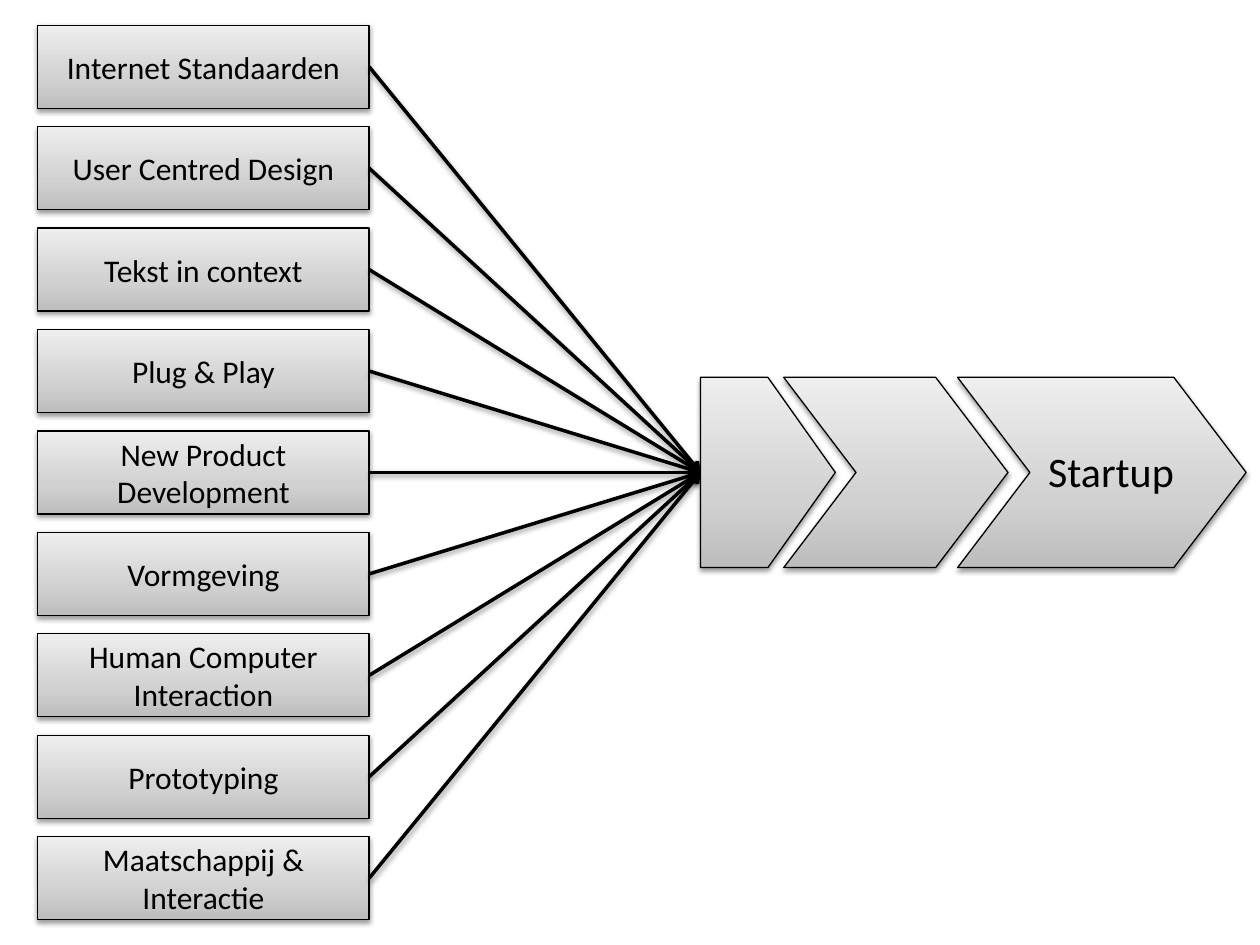
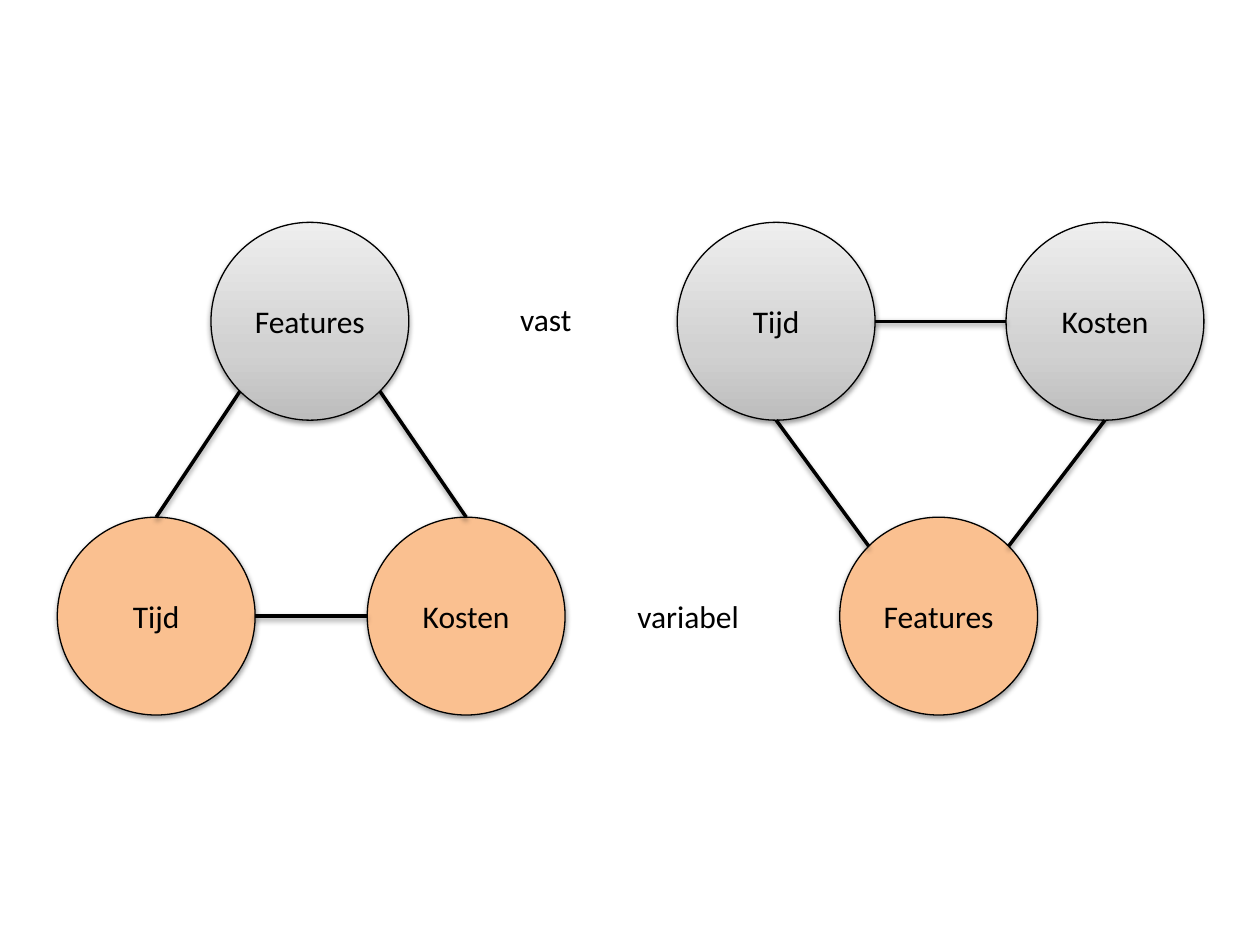
"""Build two diagram slides: courses feeding a startup, and project triangles."""
import math
from dataclasses import dataclass

from pptx import Presentation
from pptx import util as u
from pptx.dml.color import RGBColor
from pptx.enum import shapes, text
from pptx.oxml import parse_xml
from pptx.oxml.ns import nsdecls


@dataclass(frozen=True)
class Theme:
    """Colours, type and line sizes of both slides."""
    ink: str = "000000"
    variable: str = "FAC090"
    fixed: tuple = ((0, "BDBDBD"), (35, "D1D1D1"), (100, "EEEEEE"))
    font: str = "Calibri"
    body: int = 18
    large: int = 24
    outline: float = 0.75
    link: float = 2


THEME = Theme()
WIDTH, HEIGHT = 10, 7.5
MIDDLE = HEIGHT / 2

COURSES = [
    "Internet Standaarden", "User Centred Design", "Tekst in context",
    "Plug & Play", "New Product Development", "Vormgeving",
    "Human Computer Interaction", "Prototyping", "Maatschappij & Interactie",
]
COURSE_LEFT, COURSE_TOP = 0.3, 0.2
COURSE_WIDTH, COURSE_HEIGHT = 2.63, 0.66
COURSE_PITCH = (HEIGHT - 2 * COURSE_TOP - COURSE_HEIGHT) / (len(COURSES) - 1)

STAGE_HEIGHT = 1.51
STAGES = [
    (shapes.MSO_SHAPE.PENTAGON, 5.56, 1.07, 0.5),
    (shapes.MSO_SHAPE.CHEVRON, 6.22, 1.78, 0.38),
    (shapes.MSO_SHAPE.CHEVRON, 7.6, 2.29, 0.38),
]
STARTUP_LABEL = ("Startup", 8.22, 3.74, 1.21, 0.5, THEME.large)

DIAMETER = 1.57
FIXED_ROW, VARIABLE_ROW = 2.55, 4.89
ROW_FILLS = {FIXED_ROW: THEME.fixed, VARIABLE_ROW: THEME.variable}
TRIANGLES = [
    {"Features": (2.46, FIXED_ROW), "Tijd": (1.24, VARIABLE_ROW),
     "Kosten": (3.7, VARIABLE_ROW)},
    {"Features": (7.45, VARIABLE_ROW), "Tijd": (6.16, FIXED_ROW),
     "Kosten": (8.77, FIXED_ROW)},
]
ROW_LABELS = [
    ("vast", 4.03, 2.53, 0.62, 0.4, THEME.body),
    ("variabel", 4.96, 4.89, 1.02, 0.4, THEME.body),
]


def inches(*lengths):
    return [u.Inches(length) for length in lengths]


def add_shadow(item):
    item.element.spPr.append(parse_xml(
        f'<a:effectLst {nsdecls("a")}><a:outerShdw blurRad="{u.Pt(3.1)}" '
        f'dist="{u.Pt(1.6)}" dir="5400000" rotWithShape="0">'
        f'<a:srgbClr val="{THEME.ink}"><a:alpha val="38000"/></a:srgbClr>'
        '</a:outerShdw></a:effectLst>'))


def set_line(item, width):
    item.line.color.rgb = RGBColor.from_string(THEME.ink)
    item.line.width = u.Pt(width)


def set_fill(shape, fill):
    if isinstance(fill, str):
        shape.fill.solid()
        shape.fill.fore_color.rgb = RGBColor.from_string(fill)
        return
    stops = "".join(f'<a:gs pos="{share * 1000}"><a:srgbClr val="{colour}"/></a:gs>'
                    for share, colour in fill)
    shape.element.spPr.insert(2, parse_xml(
        f'<a:gradFill {nsdecls("a")} rotWithShape="1"><a:gsLst>{stops}</a:gsLst>'
        '<a:lin ang="16200000" scaled="0"/></a:gradFill>'))


def write(shape, wording, size, align):
    paragraph = shape.text_frame.paragraphs[0]
    paragraph.text = wording
    paragraph.alignment = align
    paragraph.font.name = THEME.font
    paragraph.font.size = u.Pt(size)
    paragraph.font.color.rgb = RGBColor.from_string(THEME.ink)


def add_node(slide, kind, box, fill, wording=""):
    shape = slide.shapes.add_shape(kind, *inches(*box))
    set_fill(shape, fill)
    set_line(shape, THEME.outline)
    add_shadow(shape)
    if wording:
        shape.text_frame.vertical_anchor = text.MSO_ANCHOR.MIDDLE
        write(shape, wording, THEME.body, text.PP_ALIGN.CENTER)
    return shape


def add_link(slide, start=(0, 0), end=(0, 0)):
    connector = slide.shapes.add_connector(
        shapes.MSO_CONNECTOR.STRAIGHT, *inches(*start, *end))
    set_line(connector, THEME.link)
    add_shadow(connector)
    return connector


def add_label(slide, wording, left, middle, width, height, size):
    label = slide.shapes.add_textbox(*inches(left, middle - height / 2, width, height))
    label.text_frame.word_wrap = False
    label.text_frame.auto_size = text.MSO_AUTO_SIZE.SHAPE_TO_FIT_TEXT
    write(label, wording, size, text.PP_ALIGN.LEFT)


def rim(centre, degrees):
    angle = math.radians(degrees)
    return (centre[0] + DIAMETER / 2 * math.cos(angle),
            centre[1] + DIAMETER / 2 * math.sin(angle))


def build_funnel(slide):
    courses = [
        add_node(slide, shapes.MSO_SHAPE.RECTANGLE,
                 (COURSE_LEFT, COURSE_TOP + row * COURSE_PITCH,
                  COURSE_WIDTH, COURSE_HEIGHT), THEME.fixed, course)
        for row, course in enumerate(COURSES)]
    links = [add_link(slide) for _ in courses]
    stages = []
    for kind, left, width, point in STAGES:
        stage = add_node(slide, kind, (left, MIDDLE - STAGE_HEIGHT / 2,
                                       width, STAGE_HEIGHT), THEME.fixed)
        stage.adjustments[0] = point
        stages.append(stage)
    for course, link in zip(courses, links):
        link.begin_connect(course, 3)
        link.end_connect(stages[0], 1)
        link.line._get_or_add_ln().append(
            parse_xml(f'<a:tailEnd {nsdecls("a")} type="arrow"/>'))
    add_label(slide, *STARTUP_LABEL)


def build_triangles(slide):
    for triangle in TRIANGLES:
        for name, (x, y) in triangle.items():
            add_node(slide, shapes.MSO_SHAPE.OVAL,
                     (x - DIAMETER / 2, y - DIAMETER / 2, DIAMETER, DIAMETER),
                     ROW_FILLS[y], name)
        features, time, cost = triangle.values()
        down = 1 if features[1] < time[1] else -1
        add_link(slide, rim(features, 135 * down), rim(time, -90 * down))
        add_link(slide, rim(features, 45 * down), rim(cost, -90 * down))
        add_link(slide, rim(cost, 180), rim(time, 0))
    for label in ROW_LABELS:
        add_label(slide, *label)


def main():
    presentation = Presentation()
    presentation.slide_width, presentation.slide_height = inches(WIDTH, HEIGHT)
    blank = presentation.slide_layouts[6]
    for build in (build_funnel, build_triangles):
        build(presentation.slides.add_slide(blank))
    presentation.save("out.pptx")


if __name__ == "__main__":
    main()
